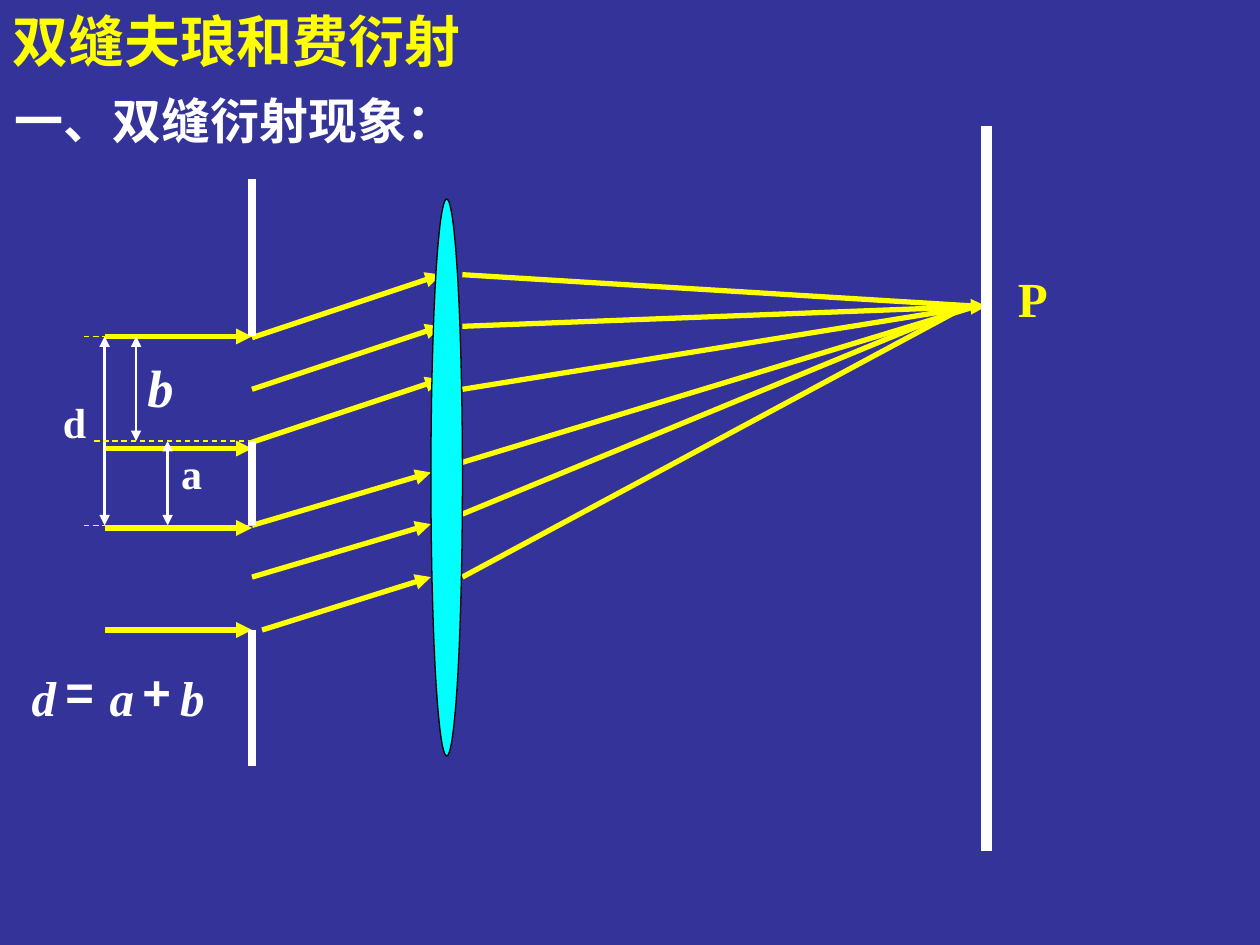
import pptx
import pptx.dml.color
import pptx.enum.dml
import pptx.enum.shapes
import pptx.oxml
import pptx.oxml.ns
import pptx.util

Inches = pptx.util.Inches
NAVY = pptx.dml.color.RGBColor(0x33, 0x33, 0x99)
YELLOW = pptx.dml.color.RGBColor(0xFF, 0xFF, 0x00)
WHITE = pptx.dml.color.RGBColor(0xFF, 0xFF, 0xFF)
CYAN = pptx.dml.color.RGBColor(0x00, 0xFF, 0xFF)
BLACK = pptx.dml.color.RGBColor(0x00, 0x00, 0x00)


class Diagram:
    """Draws optics elements on one slide in a shared style."""

    def __init__(self, slide, font="Times New Roman"):
        self.slide = slide
        self.font = font
        slide.background.fill.solid()
        slide.background.fill.fore_color.rgb = NAVY

    def line(self, start, end, color, width, arrows=(), dashed=False):
        stroke = self.slide.shapes.add_connector(
            pptx.enum.shapes.MSO_CONNECTOR.STRAIGHT,
            *(Inches(value) for value in (*start, *end)))
        stroke.line.color.rgb = color
        stroke.line.width = pptx.util.Pt(width)
        if dashed:
            stroke.line.dash_style = pptx.enum.dml.MSO_LINE.DASH
        outline = stroke.line._get_or_add_ln()
        for tip in arrows:
            outline.append(pptx.oxml.parse_xml(
                f'<a:{tip} {pptx.oxml.ns.nsdecls("a")} type="triangle"/>'))
        stroke._element.spPr.append(pptx.oxml.parse_xml(
            f'<a:effectLst {pptx.oxml.ns.nsdecls("a")}/>'))

    def ray(self, start, end, arrow=True):
        self.line(start, end, YELLOW, 3, ("tailEnd",) if arrow else ())

    def dimension(self, x, top, bottom):
        self.line((x, top), (x, bottom), WHITE, 1.5, ("headEnd", "tailEnd"))

    def barrier(self, x, top, bottom, width=4.5):
        self.line((x, top), (x, bottom), WHITE, width)

    def lens(self, left, top, width, height):
        glass = self.slide.shapes.add_shape(
            pptx.enum.shapes.MSO_SHAPE.OVAL,
            Inches(left), Inches(top), Inches(width), Inches(height))
        glass.shadow.inherit = False
        glass.fill.solid()
        glass.fill.fore_color.rgb = CYAN
        glass.line.color.rgb = BLACK
        glass.line.width = pptx.util.Pt(0.75)

    def text(self, words, box, size, color=WHITE, italic=False, font=None, inset=True, wrap=False):
        label = self.slide.shapes.add_textbox(*(Inches(value) for value in box))
        frame = label.text_frame
        frame.word_wrap = wrap
        frame.margin_left = frame.margin_right = Inches(0.1 if inset else 0)
        frame.margin_top = frame.margin_bottom = Inches(0.05 if inset else 0)
        run = frame.paragraphs[0].add_run()
        run.text = words
        run.font.name = font or self.font
        run.font.size = pptx.util.Pt(size)
        run.font.bold = True
        run.font.italic = italic
        run.font.color.rgb = color


def main():
    deck = pptx.Presentation()
    deck.slide_width, deck.slide_height = Inches(10), Inches(7.5)
    diagram = Diagram(deck.slides.add_slide(deck.slide_layouts[6]))
    slit_x, lens_left, lens_right, screen_x = 2, 3.42, 3.67, 7.83
    slit_top, slit_bottom, next_slit_top, next_slit_bottom = 2.67, 3.5, 4.17, 5

    diagram.text("双缝夫琅和费衍射", (0, 0, 6.42, 0.64), 32, YELLOW, wrap=True)

    for y in (4.19, 5, 2.67, 3.56):
        diagram.ray((0.83, y), (slit_x, y))
    for y in (2.68, 3.09, 3.51):
        diagram.ray((slit_x, y), (3.5, y - 0.5))
    for x, y in ((slit_x, 4.17), (slit_x, 4.58), (2.08, 5)):
        diagram.ray((x, y), (lens_left, y - 0.42))

    focused = ((3.67, 7.75), (4.08, 7.67), (4.58, 7.67), (2.59, screen_x), (2.18, 7.75), (3.09, 7.75))
    for y, end_x in focused:
        diagram.ray((lens_right, y), (end_x, 2.43), arrow=end_x == screen_x)
    diagram.text("P", (7.98, 2.08, 0.44, 0.57), 28, YELLOW)

    for top, bottom in ((1.42, slit_top), (slit_bottom, next_slit_top), (next_slit_bottom, 6.08)):
        diagram.barrier(slit_x, top, bottom)
    diagram.lens(lens_left, 1.58, lens_right - lens_left, 4.42)
    diagram.barrier(screen_x, 1, 6.75, width=6)

    diagram.text("一、双缝衍射现象：", (0.02, 0.67, 3.69, 0.57), 28)

    diagram.dimension(1.08, slit_top, slit_bottom)
    diagram.text("b", (1.17, 2.82, 0.21, 0.5), 30, italic=True, inset=False)
    diagram.dimension(0.83, slit_top, next_slit_top)
    diagram.text("d", (0.4, 3.1, 0.38, 0.5), 24)
    diagram.dimension(1.33, slit_bottom, next_slit_top)
    diagram.text("a", (1.34, 3.5, 0.36, 0.5), 24)

    for right, y in ((slit_x, slit_top), (2.08, slit_bottom), (slit_x, next_slit_top)):
        diagram.line((right, y), (right - 1.33, y), YELLOW, 0.75, dashed=True)

    for symbol, x in (("b", 1.43), ("a", 0.87), ("d", 0.25)):
        diagram.text(symbol, (x, 5.3, 0.19, 0.47), 28, italic=True, inset=False)
    for operator, x, width in (("+", 1.13, 0.23), ("=", 0.52, 0.23)):
        diagram.text(operator, (x, 5.25, width, 0.47), 28, font="Arial", inset=False)

    deck.save("out.pptx")


if __name__ == "__main__":
    main()
